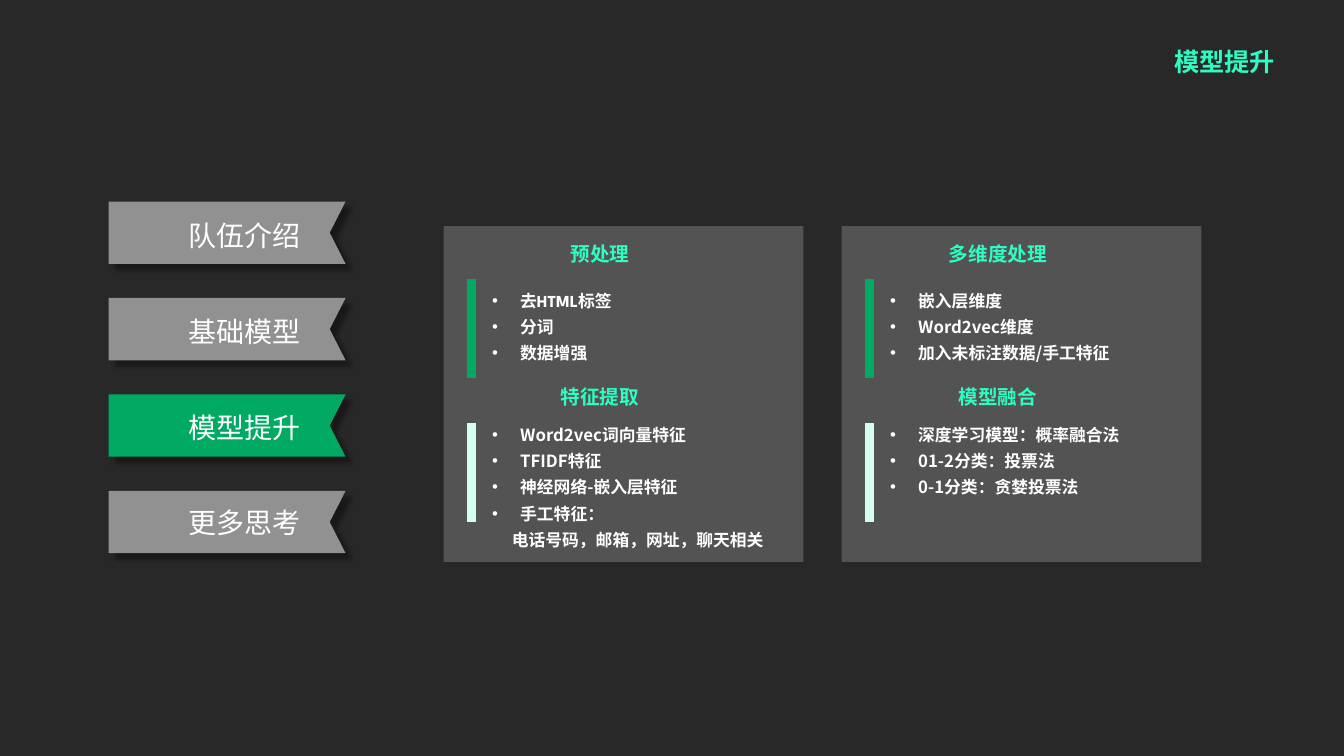
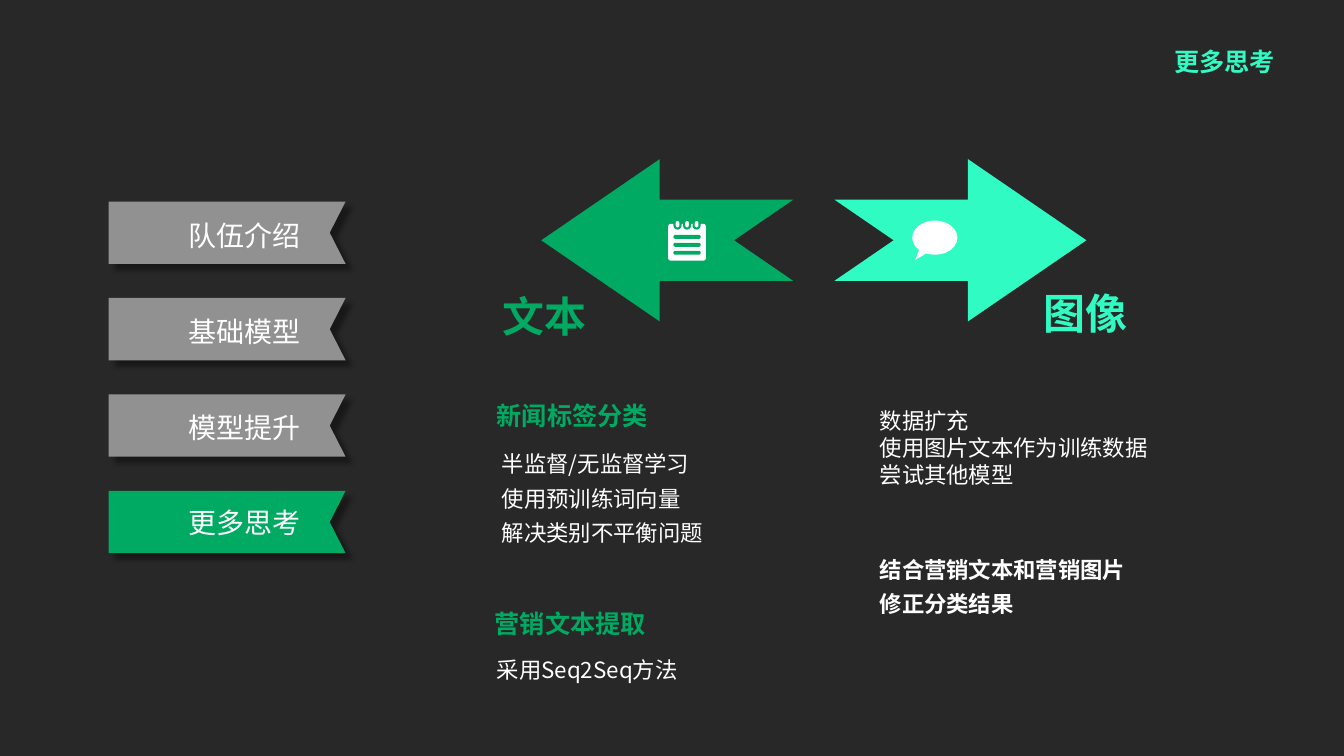
"""Build two dark slides with ribbon navigation: model improvement and further thoughts."""
from lxml import etree
from pptx import Presentation
from pptx import util as u
from pptx.dml.color import RGBColor
from pptx.enum import shapes, text
from pptx.oxml.ns import qn

DARK, GREY, WHITE = "282828", "919191", "FFFFFF"
GREEN, MINT, PALE = "00AA63", "2FFBC2", "D5FEF3"
FONT = "Noto Sans CJK SC"
LEFT, CENTER, RIGHT = text.PP_ALIGN.LEFT, text.PP_ALIGN.CENTER, text.PP_ALIGN.RIGHT
SECTIONS = ["队伍介绍", "基础模型", "模型提升", "更多思考"]


def paint(fill, color):
    fill.solid()
    fill.fore_color.rgb = RGBColor.from_string(color)


def add_text(s, lines, x, y, w, h, size=16, color=WHITE, font=FONT, bold=False,
             align=LEFT, spacing=1.0, wrap=True, inset=(0.25, 0.13), bullets=0):
    tf = s.shapes.add_textbox(u.Cm(x), u.Cm(y), u.Cm(w), u.Cm(h)).text_frame
    tf.word_wrap = wrap
    tf.auto_size = text.MSO_AUTO_SIZE.SHAPE_TO_FIT_TEXT
    tf.margin_left = tf.margin_right = u.Cm(inset[0])
    tf.margin_top = tf.margin_bottom = u.Cm(inset[1])
    for i, line in enumerate(lines):
        p = tf.paragraphs[0] if i == 0 else tf.add_paragraph()
        p.alignment = align
        p.line_spacing = spacing
        if bullets:
            pPr = p._p.get_or_add_pPr()
            pPr.set("marL", str(u.Cm(0.71 if i < bullets else 0.5)))
            if i < bullets:
                pPr.set("indent", str(u.Cm(-0.71)))
                etree.SubElement(pPr, qn("a:buFont")).set("typeface", "Arial")
                etree.SubElement(pPr, qn("a:buChar")).set("char", "•")
        r = p.add_run()
        r.text = line
        r.font.size, r.font.bold, r.font.name = u.Pt(size), bold, font
        paint(r.font.fill, color)
        etree.SubElement(r._r.get_or_add_rPr(), qn("a:ea")).set("typeface", FONT)


prs = Presentation()
prs.slide_width, prs.slide_height = u.Cm(33.87), u.Cm(19.05)
paint(prs.slide_master.background.fill, DARK)

for title in SECTIONS[2:]:
    s = prs.slides.add_slide(prs.slide_layouts[6])
    for i, section in enumerate(SECTIONS):
        top = 5.08 + i * 2.43
        outline = [(8.71, top), (8.31, top + 0.785), (8.71, top + 1.57), (2.74, top + 1.57)]
        fb = s.shapes.build_freeform(u.Cm(2.74), u.Cm(top))
        fb.add_line_segments([(u.Cm(x), u.Cm(y)) for x, y in outline], close=True)
        sp = fb.convert_to_shape()
        paint(sp.fill, GREEN if section == title else GREY)
        sp.line.fill.background()
        sp.shadow.inherit = False
        effects = sp._element.spPr.find(qn("a:effectLst"))
        shadow = etree.SubElement(effects, qn("a:outerShdw"), blurRad=str(u.Pt(4)),
                                  dist=str(u.Pt(6)), dir="2700000", algn="tl", rotWithShape="0")
        black = etree.SubElement(shadow, qn("a:srgbClr"), val="000000")
        etree.SubElement(black, qn("a:alpha"), val="40000")
    for i, section in enumerate(SECTIONS):
        add_text(s, [section], 4.5, 5.3 + i * 2.41, 3.35, 1.19, size=20, spacing=1.1, wrap=False)
    add_text(s, [title], 29.36, 0.93, 2.95, 1.04, size=18, color=MINT, bold=True,
             align=RIGHT, spacing=u.Pt(25.5), wrap=False, inset=(0.18, 0.1))

s = prs.slides[0]
panels = [
    [("预处理", "League Spartan", ["去HTML标签", "分词", "数据增强"]),
     ("特征提取", FONT, ["Word2vec词向量特征", "TFIDF特征", "神经网络-嵌入层特征", "手工特征：",
                     "电话号码，邮箱，网址，聊天相关"])],
    [("多维度处理", FONT, ["嵌入层维度", "Word2vec维度", "加入未标注数据/手工特征"]),
     ("模型融合", FONT, ["深度学习模型：概率融合法", "01-2分类：投票法", "0-1分类：贪婪投票法"])],
]
rows = [(5.7, 7.03, 7.04, GREEN), (9.3, 10.66, 10.42, PALE)]
for i, panel in enumerate(panels):
    left = 11.18 + i * 10.03
    sp = s.shapes.add_shape(shapes.MSO_SHAPE.RECTANGLE, u.Cm(left), u.Cm(5.7), u.Cm(9.07), u.Cm(8.46))
    paint(sp.fill, WHITE)
    etree.SubElement(sp.fill._xPr.find(".//" + qn("a:srgbClr")), qn("a:alpha"), val="20000")
    sp.line.fill.background()
    sp.shadow.inherit = False
    for (heading, font, lines), (head_y, bar_y, list_y, color) in zip(panel, rows):
        bar = s.shapes.add_connector(shapes.MSO_CONNECTOR.STRAIGHT, u.Cm(left + 0.71), u.Cm(bar_y),
                                     u.Cm(left + 0.71), u.Cm(bar_y + 2.5))
        paint(bar.line.fill, color)
        bar.line.width = u.Pt(6.25)
        etree.SubElement(bar._element.spPr, qn("a:effectLst"))
        add_text(s, lines, left + 0.97, list_y, 8.1, 2.26, size=12, font=font, bold=True,
                 spacing=1.3, bullets=min(len(lines), 4))
        add_text(s, [heading], left + 2.44, head_y, 3, 1.02, size=14, color=MINT, bold=True,
                 align=CENTER, spacing=u.Pt(25.5), wrap=False, inset=(0.18, 0.1))

s = prs.slides[1]
add_text(s, ["文本"], 11.66, 7.19, 3.38, 1.55, size=30, color=GREEN, font="Calibri", bold=True, align=RIGHT)
add_text(s, ["图像"], 26.04, 7.11, 3.38, 1.55, size=30, color=MINT, font="Calibri", bold=True)
for heading, x, y in [("新闻标签分类", 12.27, 9.58), ("营销文本提取", 12.22, 14.81)]:
    add_text(s, [heading], x, y, 4.37, 1.42, size=18, color=GREEN, bold=True, spacing=1.5, wrap=False)
add_text(s, ["半监督/无监督学习", "使用预训练词向量", "解决类别不平衡问题"], 12.4, 11, 8.58, 2.92, spacing=1.3)
add_text(s, ["采用Seq2Seq方法"], 12.27, 16.21, 5.31, 1.07, spacing=1.3)
add_text(s, ["数据扩充", "使用图片文本作为训练数据", "尝试其他模型"], 21.92, 10.13, 8.2, 3, font="League Spartan")
add_text(s, ["结合营销文本和营销图片", "修正分类结果"], 21.92, 13.67, 7.42, 2.03, bold=True, spacing=1.3)

ARROW, ROUND = shapes.MSO_SHAPE.NOTCHED_RIGHT_ARROW, shapes.MSO_SHAPE.ROUNDED_RECTANGLE
BUBBLE = shapes.MSO_SHAPE.OVAL_CALLOUT
icons = [(ARROW, 21.03, 4.01, 6.35, 4.09, MINT, (0.5, 0.73), 0),
         (ARROW, 13.64, 4.01, 6.35, 4.09, GREEN, (0.5, 0.73), 180),
         (BUBBLE, 22.99, 5.56, 1.14, 0.86, WHITE, (-0.43, 0.65), 0),
         (ROUND, 16.84, 5.64, 0.95, 0.93, WHITE, (0.07,), 0)]
icons += [(ROUND, 16.97, 5.92 + i * 0.2, 0.69, 0.1, GREEN, (0.5,), 0) for i in range(3)]
icons += [(ROUND, 17 + i * 0.24, 5.54, 0.15, 0.22, WHITE, (0.5,), 0) for i in range(3)]
for i, (kind, x, y, w, h, color, adjustments, angle) in enumerate(icons):
    sp = s.shapes.add_shape(kind, u.Cm(x), u.Cm(y), u.Cm(w), u.Cm(h))
    for k, value in enumerate(adjustments):
        sp.adjustments[k] = value
    sp.rotation = angle
    sp.shadow.inherit = False
    paint(sp.fill, color)
    if i >= len(icons) - 3:
        paint(sp.line.fill, GREEN)
        sp.line.width = u.Pt(1.5)
    else:
        sp.line.fill.background()

prs.save("out.pptx")
